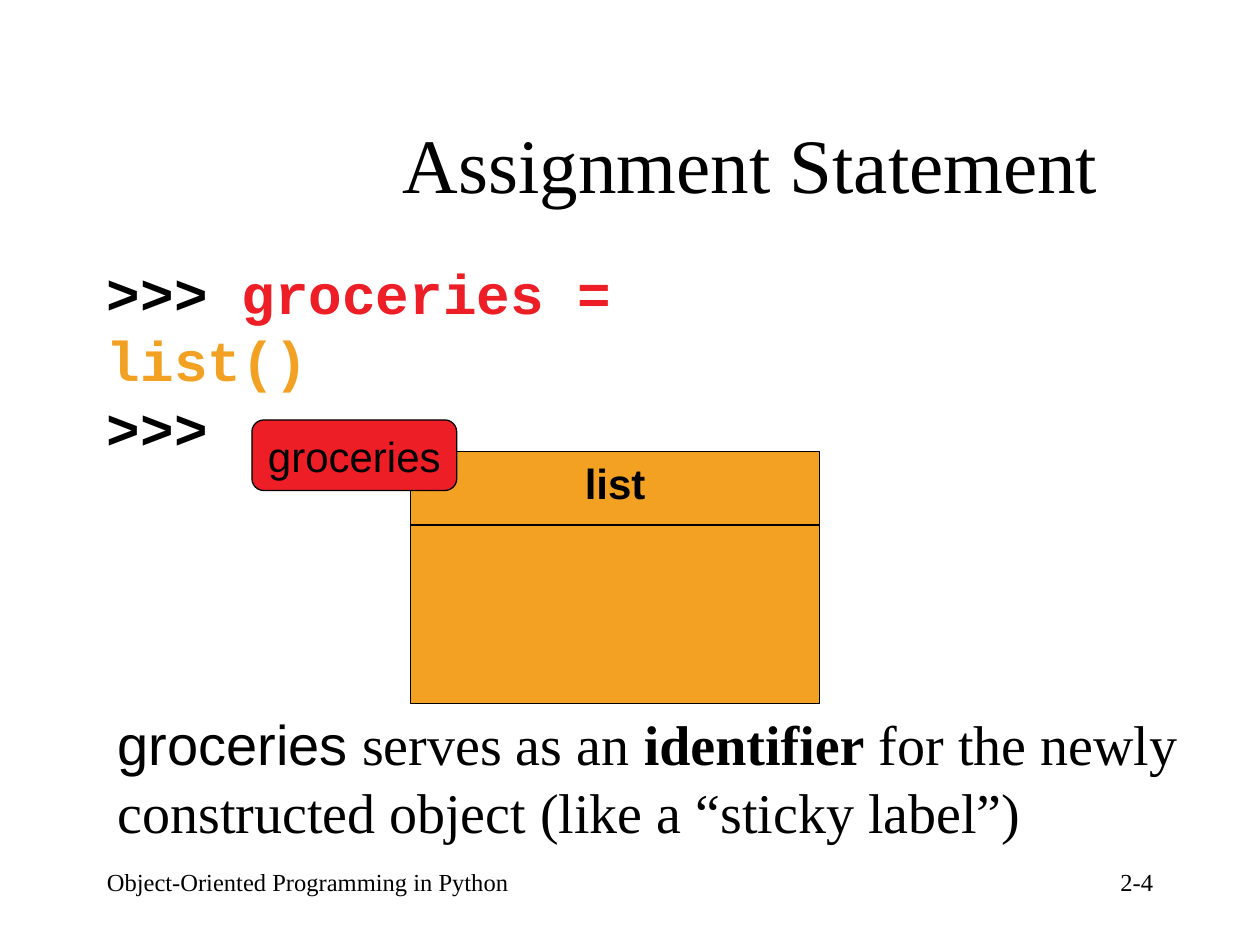
from pptx import Presentation
from pptx.dml.color import RGBColor
from pptx.enum.shapes import MSO_CONNECTOR, MSO_SHAPE
from pptx.enum.text import MSO_ANCHOR, PP_ALIGN
from pptx.oxml.ns import qn
from pptx.util import Pt
from lxml.etree import SubElement

BLACK = RGBColor(0x00, 0x00, 0x00)
RED = RGBColor(0xEE, 0x1E, 0x26)
ORANGE = RGBColor(0xF3, 0xA1, 0x23)
SERIF = "Times New Roman"
SANS = "Arial"
MONO = "Courier New"


def write_text(shape, paragraphs, size=32, font=SERIF, bold=False,
               align=PP_ALIGN.LEFT, anchor=MSO_ANCHOR.TOP, wrap=True, spacing=None):
    frame = shape.text_frame
    frame.word_wrap = wrap
    frame.vertical_anchor = anchor
    for index, runs in enumerate(paragraphs):
        paragraph = frame.add_paragraph() if index else frame.paragraphs[0]
        paragraph.alignment = align
        if spacing:
            paragraph.line_spacing = spacing
        for text, style in runs:
            run = paragraph.add_run()
            run.text = text
            run.font.size = Pt(size)
            run.font.name = style.get("font", font)
            run.font.bold = style.get("bold", bold)
            run.font.color.rgb = style.get("color", BLACK)


def add_text(slide, box, paragraphs, **text_format):
    shape = slide.shapes.add_textbox(*map(Pt, box))
    write_text(shape, paragraphs, **text_format)


def add_block(slide, kind, box, color, text, **text_format):
    shape = slide.shapes.add_shape(kind, *map(Pt, box))
    shape.shadow.inherit = False
    shape.fill.solid()
    shape.fill.fore_color.rgb = color
    shape.line.color.rgb = BLACK
    shape.line.width = Pt(0.75)
    write_text(shape, [[(text, {})]], size=24, font=SANS,
               align=PP_ALIGN.CENTER, wrap=False, **text_format)


def add_title(slide, box):
    title = slide.shapes.title
    title.left, title.top, title.width, title.height = map(Pt, box)
    write_text(title, [[("Assignment Statement", {})]], size=44,
               align=PP_ALIGN.CENTER, anchor=MSO_ANCHOR.MIDDLE)


def add_code(slide, box):
    lines = [
        [(">>> ", {}), ("groceries = ", {"color": RED}), ("list()", {"color": ORANGE})],
        [(">>>", {})],
    ]
    add_text(slide, box, lines, font=MONO, bold=True, wrap=False, spacing=Pt(38.5))


def add_explanation(slide, box):
    sentence = [
        ("groceries", {"font": SANS}),
        (" serves as an ", {}),
        ("identifier", {"bold": True}),
        (" for the newly constructed object (like a “sticky label”)", {}),
    ]
    add_text(slide, box, [sentence], spacing=Pt(38.5))


def add_object_diagram(slide, box):
    left, top, width, height = box
    add_block(slide, MSO_SHAPE.RECTANGLE, box, ORANGE, "list", bold=True)
    divider_top = top + 42
    divider = slide.shapes.add_connector(
        MSO_CONNECTOR.STRAIGHT, Pt(left), Pt(divider_top), Pt(left + width), Pt(divider_top))
    divider.line.color.rgb = BLACK
    divider.line.width = Pt(0.75)
    SubElement(divider.element.spPr, qn("a:effectLst"))
    label_box = (left - 90.5, top - 18, 117, 40.3)
    add_block(slide, MSO_SHAPE.ROUNDED_RECTANGLE, label_box, RED, "groceries",
              anchor=MSO_ANCHOR.MIDDLE)


def add_footer(slide, box):
    left, top, width, height = box
    add_text(slide, (left, top, 420, height),
             [[("Object-Oriented Programming in Python", {})]], size=14)
    add_text(slide, (left + width - 150, top, 150, height),
             [[("2-4", {})]], size=14, align=PP_ALIGN.RIGHT)


def main():
    presentation = Presentation()
    presentation.slide_width = Pt(720)
    presentation.slide_height = Pt(540)
    slide = presentation.slides.add_slide(presentation.slide_layouts[5])
    add_footer(slide, (54, 492, 612, 36))
    add_title(slide, (192, 48, 474, 90))
    add_code(slide, (54, 144, 437, 84))
    add_explanation(slide, (60, 402, 624, 84))
    add_object_diagram(slide, (234.5, 258, 234, 144))
    presentation.save("out.pptx")


if __name__ == "__main__":
    main()
